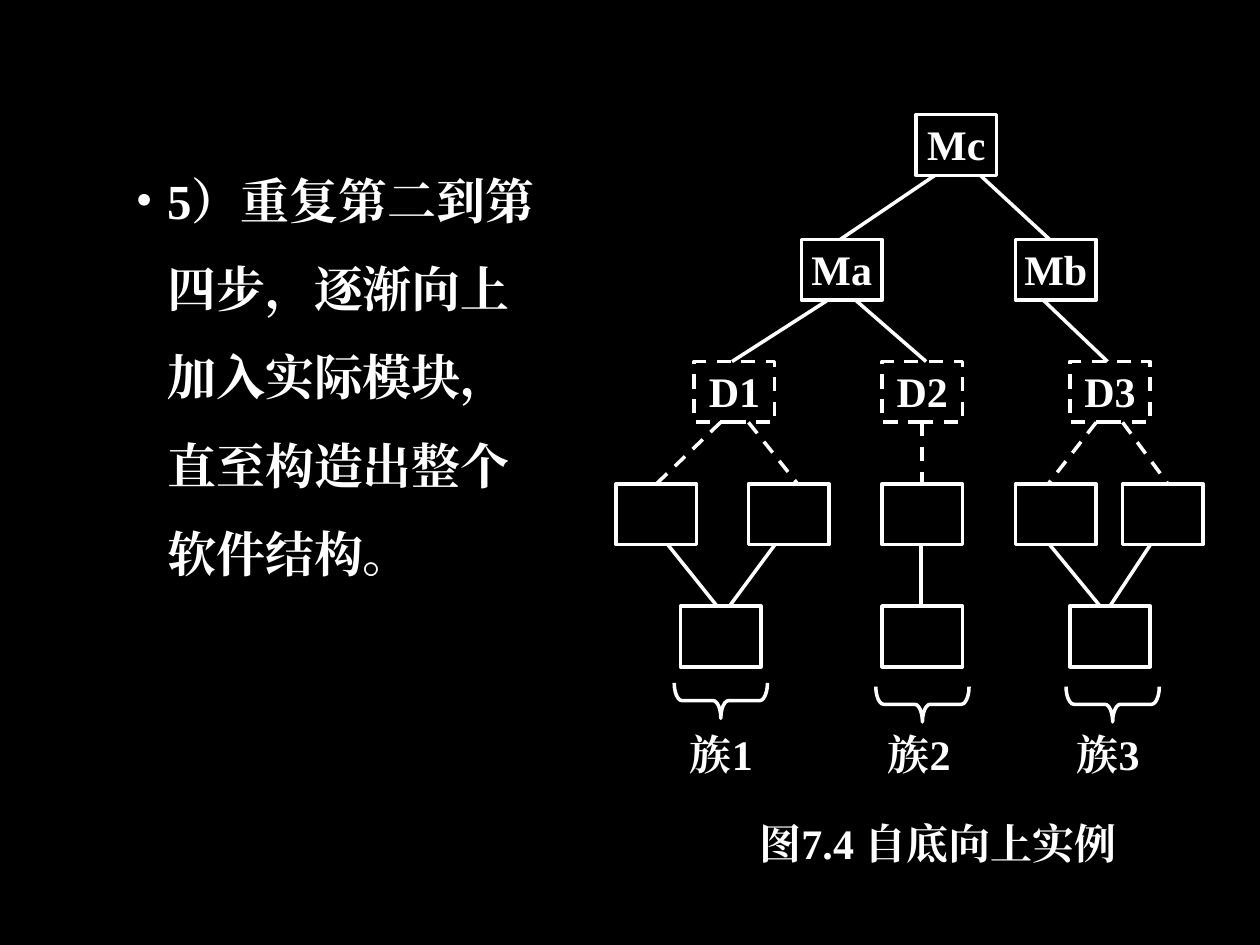
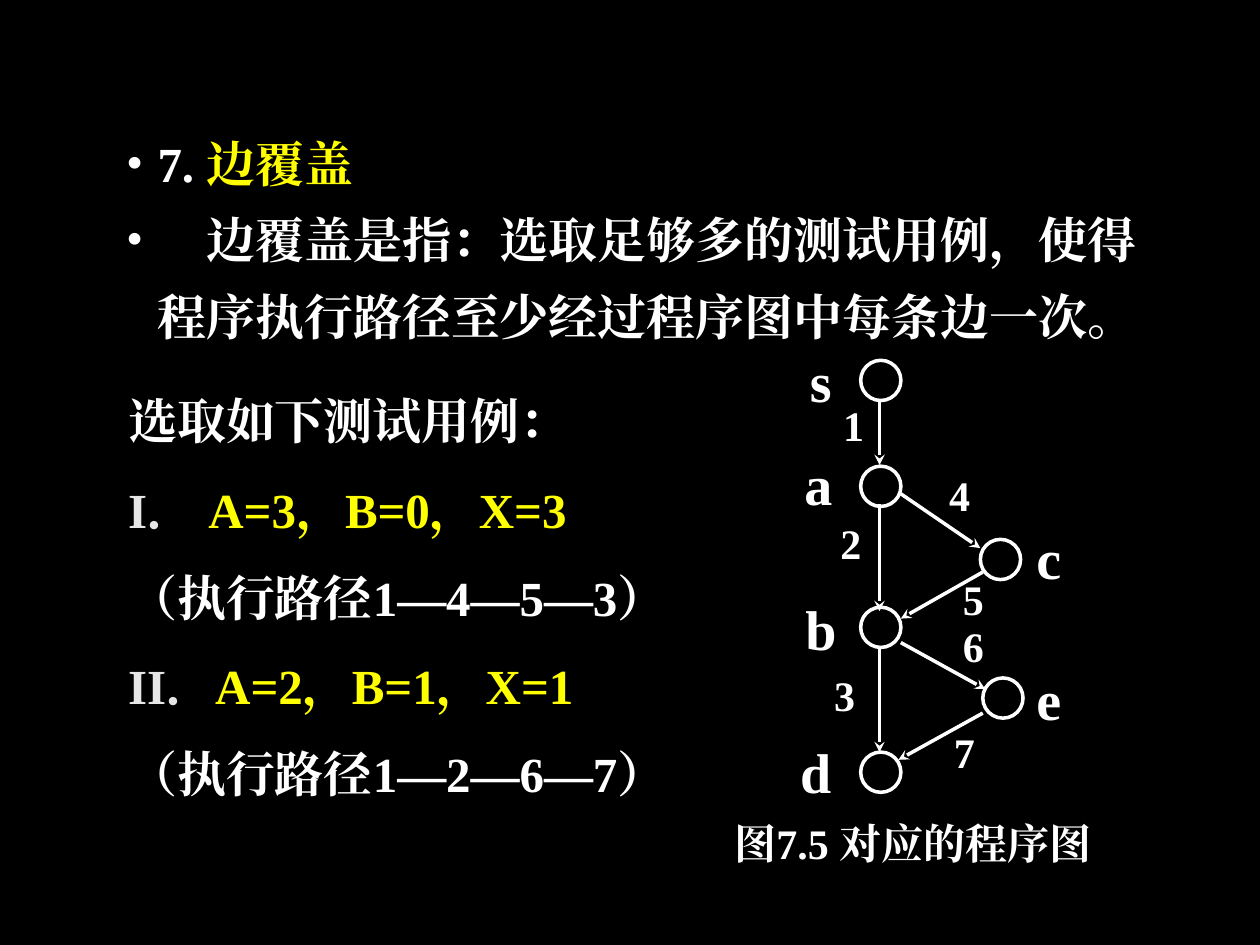
"""Build two slides on software testing: bottom-up integration and edge coverage."""
from lxml import etree
from pptx import Presentation
from pptx.dml.color import RGBColor
from pptx.enum.dml import MSO_LINE
from pptx.enum.shapes import MSO_CONNECTOR, MSO_SHAPE
from pptx.enum.text import MSO_ANCHOR, PP_ALIGN
from pptx.oxml.ns import qn
from pptx.util import Pt

BLACK = RGBColor(0x00, 0x00, 0x00)
WHITE = RGBColor(0xFF, 0xFF, 0xFF)
YELLOW = RGBColor(0xFF, 0xFF, 0x00)
GREY = RGBColor(0xE7, 0xE6, 0xE6)
FONT = "Times New Roman"
STROKE = Pt(2)
INDENT = Pt(18)
LATIN_TOP = 2.5
DASH = MSO_LINE.DASH
STRAIGHT = MSO_CONNECTOR.STRAIGHT
RECTANGLE, OVAL, BRACE = MSO_SHAPE.RECTANGLE, MSO_SHAPE.OVAL, MSO_SHAPE.RIGHT_BRACE
TOP = MSO_ANCHOR.TOP
LEFT, CENTER, JUSTIFY = PP_ALIGN.LEFT, PP_ALIGN.CENTER, PP_ALIGN.JUSTIFY


def add_text(page, place, paragraphs, size=24, align=CENTER, spacing=None,
             insets=(0, 0, 0, 0), bullet=False, outline=None, dash=None):
    """Add a text box, or an outlined shape, holding paragraphs of (text, colour) spans."""
    place = [Pt(length) for length in place]
    if outline is None:
        box = page.shapes.add_textbox(*place)
    else:
        box = page.shapes.add_shape(outline, *place)
        box.shadow.inherit = False
        box.fill.background()
        box.line.color.rgb = WHITE
        box.line.width = STROKE
        box.line.dash_style = dash
    frame = box.text_frame
    frame.word_wrap = True
    frame.vertical_anchor = TOP
    frame.margin_left, frame.margin_top, frame.margin_right, frame.margin_bottom = map(Pt, insets)
    if isinstance(paragraphs, str):
        paragraphs = [[(paragraphs, WHITE)]] if paragraphs else []
    for index, spans in enumerate(paragraphs):
        para = frame.add_paragraph() if index else frame.paragraphs[0]
        if bullet:
            properties = para._p.get_or_add_pPr()
            properties.set("marL", str(INDENT))
            properties.set("indent", str(-INDENT))
            colour = etree.SubElement(properties, qn("a:buClr"))
            etree.SubElement(colour, qn("a:srgbClr"), val=str(WHITE))
            etree.SubElement(properties, qn("a:buFont"), typeface=FONT)
            etree.SubElement(properties, qn("a:buChar"), char="•")
        para.alignment = align
        para.line_spacing = spacing
        for text, colour in spans:
            span = para.add_run()
            span.text = text
            span.font.name = FONT
            span.font.size = Pt(size)
            span.font.bold = True
            span.font.color.rgb = colour
            latin = span._r.rPr.find(qn("a:latin"))
            latin.addnext(latin.makeelement(qn("a:ea"), {"typeface": FONT}))
    return box


def add_line(page, start, end, dash=None, arrow=False):
    """Draw a white line, with an arrowhead at its end if asked."""
    line = page.shapes.add_connector(STRAIGHT, *[Pt(length) for length in (*start, *end)])
    line.line.color.rgb = WHITE
    line.line.width = STROKE
    line.line.dash_style = dash
    if arrow:
        etree.SubElement(line.line._get_or_add_ln(), qn("a:tailEnd"), type="stealth")
    etree.SubElement(line._element.spPr, qn("a:effectLst"))


deck = Presentation()
deck.slide_width, deck.slide_height = Pt(720), Pt(540)
background = deck.slide_master.background.fill
background.solid()
background.fore_color.rgb = BLACK
blank = deck.slide_layouts[6]

page = deck.slides.add_slide(blank)
add_text(page, (70.5, 77, 252, 276),
         "5）重复第二到第四步，逐渐向上加入实际模块，直至构造出整个软件结构。",
         size=28, align=LEFT, spacing=1.5, insets=(7.2, 3.6, 7.2, 3.6), bullet=True)

MODULE_WIDTH, MODULE_HEIGHT = 46, 34.75
ROW_TOPS = (65.5, 136.8, 206.6, 276.5, 346.3)
DRIVER_ROW = 2
module_rows = [
    [("Mc", 523.5)],
    [("Ma", 458), ("Mb", 580.3)],
    [("D1", 396.7), ("D2", 504), ("D3", 611.3)],
    [("", 352), ("", 427.7), ("", 504), ("", 580.3), ("", 641.5)],
    [("", 388.8), ("", 504), ("", 611.3)],
]
links_below_row = [
    [(534.2, 480.2), (560.2, 599.8)],
    [(473, 418.3), (488.9, 529.2), (596.2, 632.9)],
    [(411.8, 375.1), (427.7, 455.8), (527, 527), (626.4, 599), (641.5, 667.4)],
    [(381.6, 409.7), (442.8, 416.9), (526.3, 526.3), (599.8, 628.6), (657.4, 634.3)],
]
for row, modules in enumerate(module_rows):
    for name, left in modules:
        add_text(page, (left, ROW_TOPS[row], MODULE_WIDTH, MODULE_HEIGHT), name,
                 insets=(0, LATIN_TOP, 0, 0), outline=RECTANGLE,
                 dash=DASH if row == DRIVER_ROW else None)
for row, links in enumerate(links_below_row):
    for upper, lower in links:
        add_line(page, (upper, ROW_TOPS[row] + MODULE_HEIGHT), (lower, ROW_TOPS[row + 1]),
                 dash=DASH if row == DRIVER_ROW else None)

clusters = [("族1", 401.8, 373.7, 381.6), ("族2", 517, 375.8, 494.6), ("族3", 625.7, 375.8, 602.6)]
for name, brace_left, brace_top, label_left in clusters:
    brace = add_text(page, (brace_left, brace_top, 20.2, 53.3), "", outline=BRACE)
    brace.rotation = 90
    brace.adjustments[0] = 0.22
    add_text(page, (label_left, 416.2, 61.2, 35.3), name)
add_text(page, (424, 467.3, 224, 34.6), "图7.4 自底向上实例")

page = deck.slides.add_slide(blank)
definition = [
    [("7. ", WHITE), ("边覆盖", YELLOW)],
    [("　边覆盖是指：选取足够多的测试用例，使得程序执行路径至少经过程序图中每条边一次。", WHITE)],
]
add_text(page, (72, 62.6, 588, 156), definition, size=28, align=LEFT, spacing=1.3,
         insets=(0, 3.6, 0, 3.6), bullet=True)

NODE_SIZE = 23
nodes = [
    ("s", (491.8, 205.9), (434.2, 195.8)),
    ("a", (491.8, 266.4), (432.7, 254.2)),
    ("b", (491.8, 347), (434.2, 337)),
    ("d", (491.8, 429.8), (431.3, 419)),
    ("c", (560.2, 308.2), (564.5, 296.6)),
    ("e", (561.6, 387.4), (564.5, 377.3)),
]
edges = [
    ("1", (502.6, 229), (502.6, 265.7), (452.9, 226.1)),
    ("2", (502.6, 288), (502.6, 349.2), (451.4, 293)),
    ("3", (502.6, 369.4), (502.6, 429.8), (447.8, 380.2)),
    ("4", (514.8, 282.2), (560.2, 313.2), (513.4, 265.7)),
    ("5", (561.6, 326.9), (514.8, 353.5), (521.3, 325.4)),
    ("6", (514.8, 367.2), (563, 393.8), (521.3, 352.1)),
    ("7", (561.6, 407.5), (513.4, 434.2), (516.2, 412.6)),
]
LABEL_SIZE = (69.8, 40.3)
for name, corner, label_corner in nodes:
    add_text(page, (*corner, NODE_SIZE, NODE_SIZE), "", outline=OVAL)
    add_text(page, (*label_corner, *LABEL_SIZE), name, size=32, insets=(0, LATIN_TOP, 0, 0))
for number, start, end, label_corner in edges:
    add_line(page, start, end, arrow=True)
    add_text(page, (*label_corner, *LABEL_SIZE), number, insets=(0, LATIN_TOP, 0, 0))
add_text(page, (365.8, 467.3, 311.8, 34.6), "图7.5 对应的程序图")

test_cases = [
    [("选取如下测试用例：", WHITE)],
    [("I． ", GREY), ("A=3，B=0，X=3", YELLOW)],
    [("（执行路径1—4—5—3）", WHITE)],
    [("II．", GREY), ("A=2，B=1，X=1", YELLOW)],
    [("（执行路径1—2—6—7）", WHITE)],
]
add_text(page, (66.2, 203, 347.8, 259.2), test_cases, size=28, align=JUSTIFY, spacing=1.5,
         insets=(7.2, 3.6, 7.2, 3.6))

deck.save("out.pptx")
